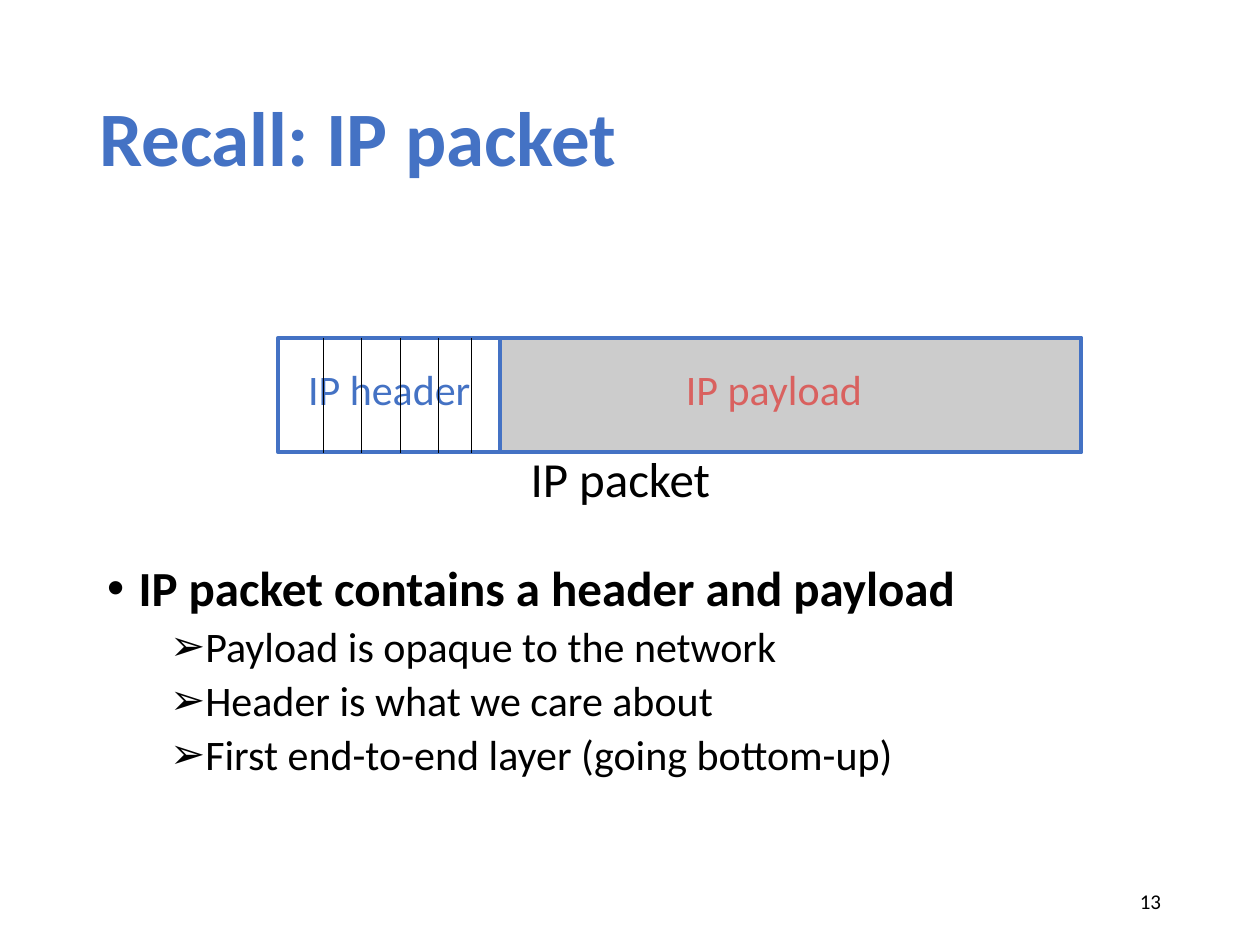
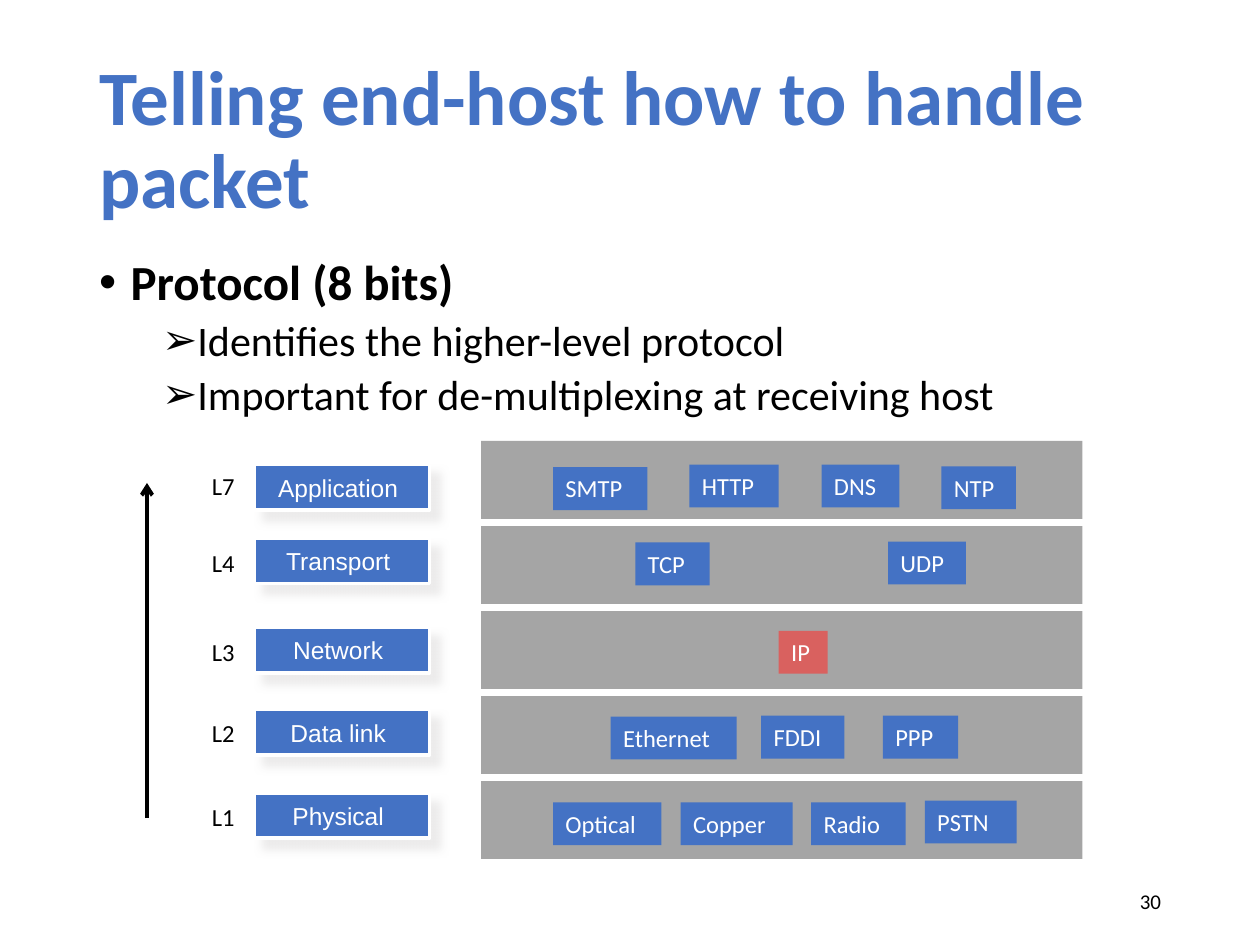
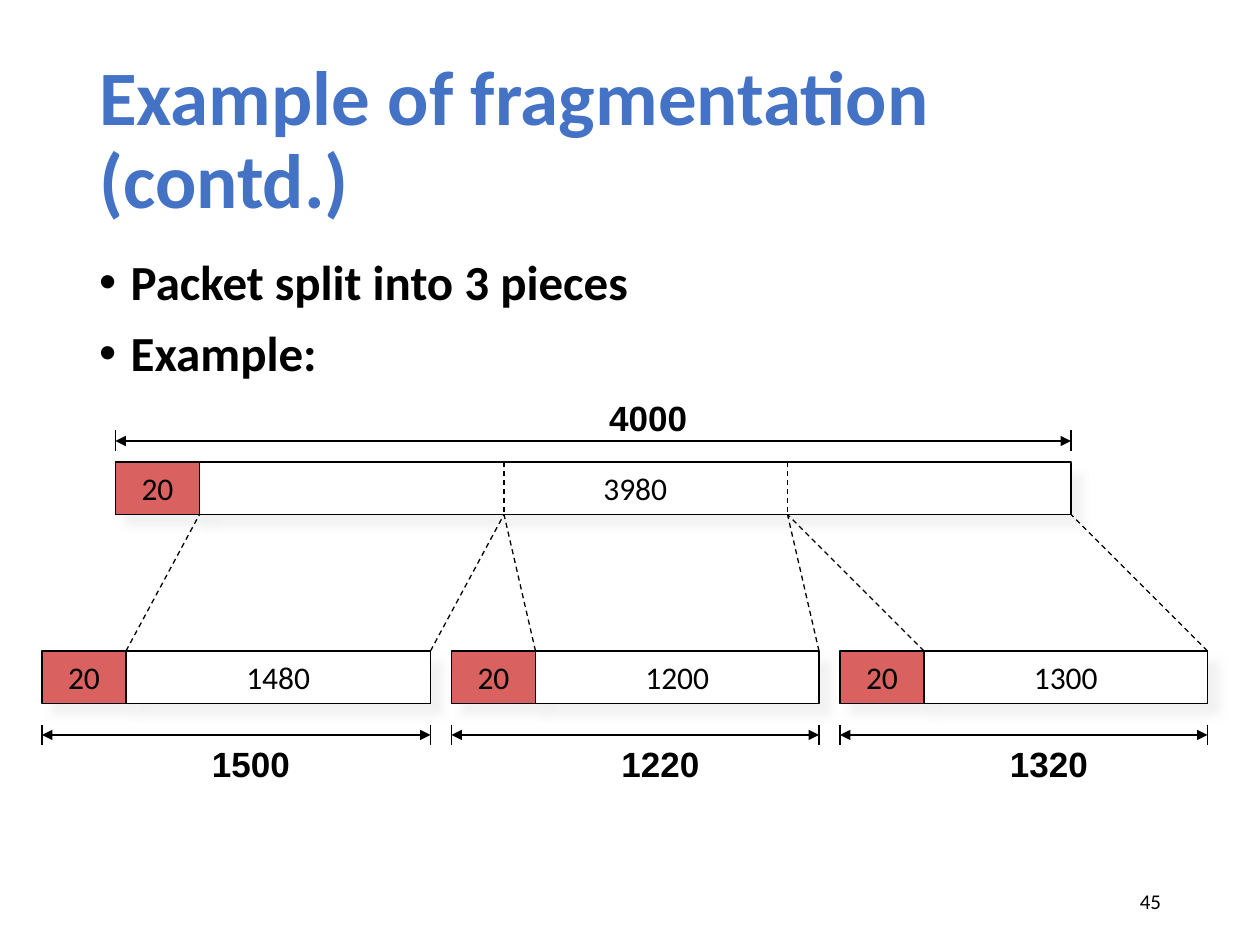
import pptx
import pptx.dml.color
import pptx.enum.dml
import pptx.enum.shapes
import pptx.enum.text
import pptx.oxml.ns
import pptx.oxml.xmlchemy
import pptx.util

Pt = pptx.util.Pt
Color = pptx.dml.color.RGBColor
Align = pptx.enum.text.PP_ALIGN
Anchor = pptx.enum.text.MSO_ANCHOR
Dash = pptx.enum.dml.MSO_LINE
qn = pptx.oxml.ns.qn

BLUE = Color(0x44, 0x72, 0xC4)
RED = Color(0xD9, 0x61, 0x5F)
GRAY = Color(0xA5, 0xA5, 0xA5)
PALE = Color(0xCC, 0xCC, 0xCC)
SHADE = Color(0xE7, 0xE6, 0xE6)
BLACK = Color(0, 0, 0)
WHITE = Color(255, 255, 255)

SANS, ARIAL = "Calibri", "Arial"
TITLE = (49.5, 28.75, 620.75, 104.5)
BODY = (49.5, 144, 620.75, 342.5)
NUMBER = (508.5, 500.5, 162, 28.75)

# Per list level: bullet, left margin, space before, text size, bold
LEVELS = [("•", 18, 10, 28, True), ("➢", 54, 5, 24, False)]

# Code, name, top of code, top of box, width of name, protocols (name, left, top, width)
LAYERS = [
    ("L7", "Application", 265.5, 265.5, 88,
     [("SMTP", 316, 267, 54), ("HTTP", 394, 265.5, 51),
      ("DNS", 469.5, 265.5, 44.5), ("NTP", 538, 266.5, 42.5)]),
    ("L4", "Transport", 309.5, 307.5, 76.5,
     [("TCP", 363, 310, 42.5), ("UDP", 507.5, 309.5, 44.5)]),
    ("L3", "Network", 360.5, 358.5, 67,
     [("IP", 445, 360.5, 28)]),
    ("L2", "Data link", 407, 405.5, 70,
     [("Ethernet", 349, 409.5, 72), ("FDDI", 435, 409, 47.5),
      ("PPP", 504.5, 409, 43)]),
    ("L1", "Physical", 455, 453, 68.5,
     [("Optical", 316, 458.5, 62), ("Copper", 389, 458.5, 64),
      ("Radio", 463.5, 458.5, 54), ("PSTN", 528.5, 457.5, 52.5)]),
]

# Left, right, payload, total, left of total
PIECES = [
    (24, 246, "1480", "1500", 114),
    (258, 468, "1200", "1220", 348),
    (480, 690, "1300", "1320", 570),
]
CUTS = [114, 288, 450, 612]


def pts(vals):
    return [Pt(val) for val in vals]


def put(item, vals):
    """Set each attribute of item from a dict of values."""
    for key, val in vals.items():
        setattr(item, key, val)


def add(parent, tag, **vals):
    """Append an XML element with the given attributes."""
    child = pptx.oxml.xmlchemy.OxmlElement(tag)
    for key, val in vals.items():
        child.set(key, str(val))
    parent.append(child)
    return child


def place(shape, rect):
    put(shape, dict(zip(("left", "top", "width", "height"), pts(rect))))


def style(font, size, color=BLACK, name=SANS, bold=False):
    put(font, {"size": Pt(size), "name": name, "bold": bold})
    font.color.rgb = color


def write(shape, text, size, color=BLACK, name=SANS, bold=False,
          align=Align.LEFT, anchor=Anchor.TOP, wrap=True, **frame):
    put(shape.text_frame, {"word_wrap": wrap, "vertical_anchor": anchor, **frame})
    par = shape.text_frame.paragraphs[0]
    par.text, par.alignment = text, align
    style(par.font, size, color, name, bold)


def label(slide, rect, text, size, **form):
    write(slide.shapes.add_textbox(*pts(rect)), text, size, **form)


def shade(shape, alpha, dist):
    """Give the shape a soft shadow to the lower right."""
    effects = shape._element.spPr.find(qn("a:effectLst"))
    shadow = add(effects, "a:outerShdw", blurRad=Pt(5), dist=Pt(dist),
                 dir=2700000, algn="ctr", rotWithShape=0)
    tint = add(shadow, "a:srgbClr", val=SHADE)
    add(tint, "a:alpha", val=alpha * 1000)


def box(slide, rect, fill, edge=None, width=0.75):
    shape = slide.shapes.add_shape(
        pptx.enum.shapes.MSO_SHAPE.RECTANGLE, *pts(rect))
    shape.shadow.inherit = False
    shape.fill.solid()
    shape.fill.fore_color.rgb = fill
    if edge is None:
        shape.line.fill.background()
    else:
        shape.line.color.rgb = edge
        shape.line.width = Pt(width)
    return shape


def line(slide, start, end, width=0.75, dash=None, head=None, tail=None):
    link = slide.shapes.add_connector(
        pptx.enum.shapes.MSO_CONNECTOR.STRAIGHT, *pts(start + end))
    link.line.color.rgb = BLACK
    put(link.line, {"width": Pt(width), "dash_style": dash})
    props = link._element.spPr
    for tag, kind in (("a:headEnd", head), ("a:tailEnd", tail)):
        if kind:
            add(props.find(qn("a:ln")), tag, type=kind)
    add(props, "a:effectLst")


def bullets(slide, items, rect=BODY):
    """Fill the body with (level, text) items."""
    body = slide.placeholders[1]
    place(body, rect)
    frame = body.text_frame
    put(frame, {"auto_size": pptx.enum.text.MSO_AUTO_SIZE.NONE,
                "vertical_anchor": Anchor.TOP})
    for num, (level, text) in enumerate(items):
        par = frame.add_paragraph() if num else frame.paragraphs[0]
        mark, margin, gap, size, bold = LEVELS[level]
        put(par, {"text": text, "level": level, "line_spacing": 0.9,
                  "space_before": Pt(gap if num else 0), "space_after": Pt(0)})
        props = par._p.get_or_add_pPr()
        props.set("marL", str(Pt(margin)))
        props.set("indent", str(Pt(-18)))
        add(props, "a:buFont", typeface=ARIAL)
        add(props, "a:buChar", char=mark)
        style(par.font, size, bold=bold)


def start(deck, title, number):
    """Add a slide with its title and number."""
    slide = deck.slides.add_slide(deck.slide_layouts[1])
    head = slide.shapes.title
    place(head, TITLE)
    write(head, title, 44, BLUE, bold=True, anchor=Anchor.MIDDLE,
          auto_size=pptx.enum.text.MSO_AUTO_SIZE.NONE)
    head.text_frame.paragraphs[0].line_spacing = 0.9
    label(slide, NUMBER, number, 12, align=Align.RIGHT, anchor=Anchor.MIDDLE)
    return slide


def ruler(slide, left, right, y):
    """Draw a double arrow between two end ticks."""
    for x in (left, right):
        line(slide, (x, y - 6), (x, y + 6))
    line(slide, (left, y), (right, y), head="triangle", tail="triangle")


def packet(slide, left, right, top, payload):
    parts = [(left, 48, RED, "20"), (left + 48, right - left - 48, WHITE, payload)]
    for x, width, fill, text in parts:
        part = box(slide, (x, top, width, 30), fill, BLACK)
        shade(part, 50, 8.5)
        write(part, text, 18, align=Align.CENTER, anchor=Anchor.MIDDLE)


def layer(slide, code, name, code_top, top, width, tags):
    frame = box(slide, (145.5, top, 100, 26), BLUE, WHITE, 2)
    shade(frame, 75, 8)
    inner = box(slide, (195.25 - width / 2, top + 1.5, width, 23), BLUE)
    write(inner, name, 14, WHITE, ARIAL, align=Align.CENTER,
          anchor=Anchor.MIDDLE, margin_left=Pt(3), margin_right=Pt(7),
          margin_top=Pt(3), margin_bottom=Pt(3))
    write(box(slide, (114, code_top, 27.5, 24.5), WHITE), code, 14, wrap=False)
    for text, x, y, wide in tags:
        tag = box(slide, (x, y, wide, 24.5), RED if text == "IP" else BLUE)
        write(tag, text, 14, WHITE)


def recall(deck):
    slide = start(deck, "Recall: IP packet", "13")
    bullets(slide, [(0, "IP packet contains a header and payload"),
                    (1, "Payload is opaque to the network"),
                    (1, "Header is what we care about"),
                    (1, "First end-to-end layer (going bottom-up)")],
            (54, 319, 624, 155.5))
    box(slide, (159, 193, 127, 65.5), WHITE, BLUE, 2.25)
    box(slide, (286, 193, 332, 65.5), PALE, BLUE, 2.25)
    label(slide, (153.5, 204, 138, 36), "IP header", 24, color=BLUE,
          align=Align.CENTER)
    write(box(slide, (296, 204, 292.5, 36), PALE), "IP payload", 24, RED,
          align=Align.CENTER)
    for x in (184.5, 206.5, 228.5, 250.5, 269.5):
        line(slide, (x, 193), (x, 258.5), 0.25, Dash.ROUND_DOT)
    label(slide, (273.5, 252.5, 162, 41), "IP packet", 28, align=Align.CENTER)


def stack(deck):
    slide = start(deck, "Telling end-host how to handle packet", "30")
    bullets(slide, [(0, "Protocol (8 bits)"),
                    (1, "Identifies the higher-level protocol"),
                    (1, "Important for de-multiplexing at receiving host")])
    line(slide, (84, 467.5), (84, 276), 2.25, tail="arrow")
    for row, item in enumerate(LAYERS):
        box(slide, (275, 252 + 48.6 * row, 343.5, 44.5), GRAY)
        layer(slide, *item)


def split(deck):
    slide = start(deck, "Example of fragmentation (contd.)", "45")
    bullets(slide, [(0, "Packet split into 3 pieces"), (0, "Example:")])
    total = {"size": 20, "name": ARIAL, "bold": True}
    ruler(slide, 66, 612, 252)
    label(slide, (341, 223, 60, 31.5), "4000", **total)
    packet(slide, 66, 612, 264, "3980")
    for (left, right, payload, size, x), *cuts in zip(PIECES, CUTS, CUTS[1:]):
        packet(slide, left, right, 372, payload)
        ruler(slide, left, right, 420)
        label(slide, (x, 421, 60, 31.5), size, **total)
        for low, high in zip((left + 48, right), cuts):
            line(slide, (low, 372), (high, 294), dash=Dash.DASH)
    for x in CUTS[1:-1]:
        line(slide, (x, 264), (x, 294), dash=Dash.DASH)


def main():
    deck = pptx.Presentation()
    put(deck, {"slide_width": Pt(720), "slide_height": Pt(540)})
    for build in (recall, stack, split):
        build(deck)
    deck.save("out.pptx")


if __name__ == "__main__":
    main()
